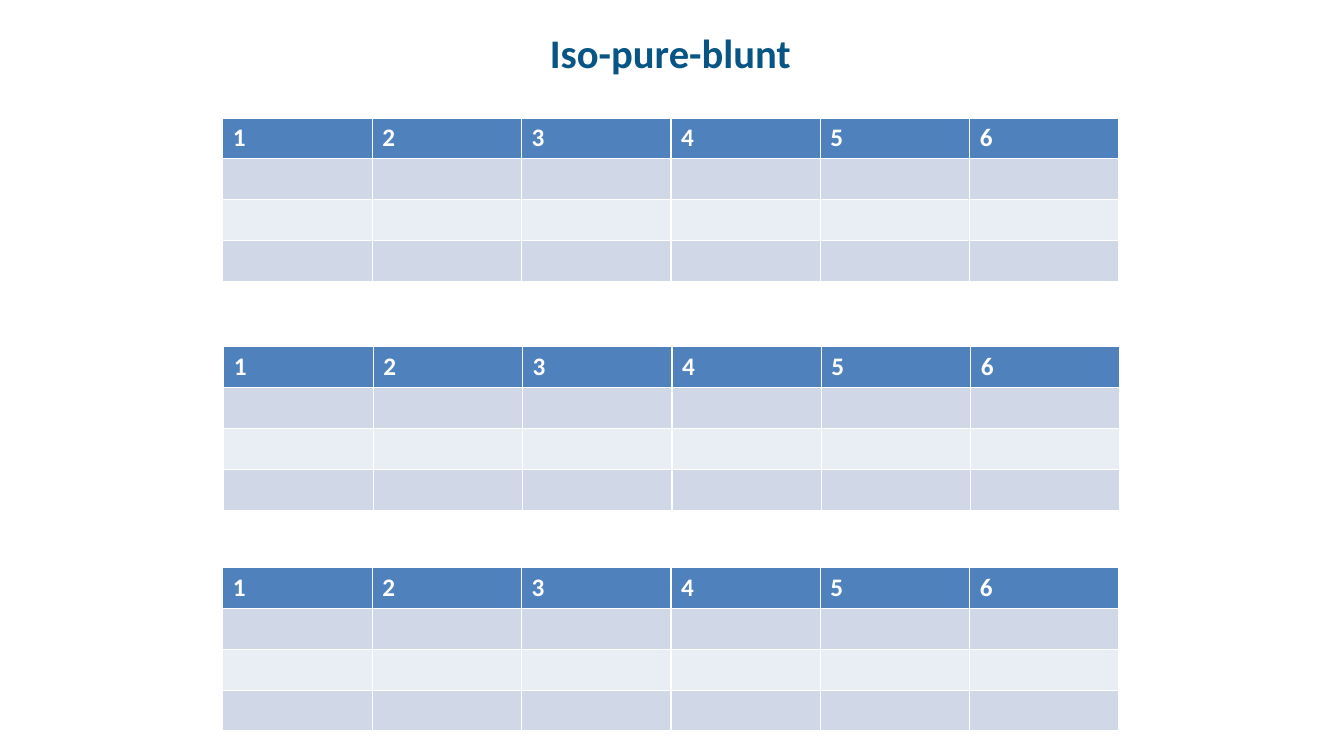
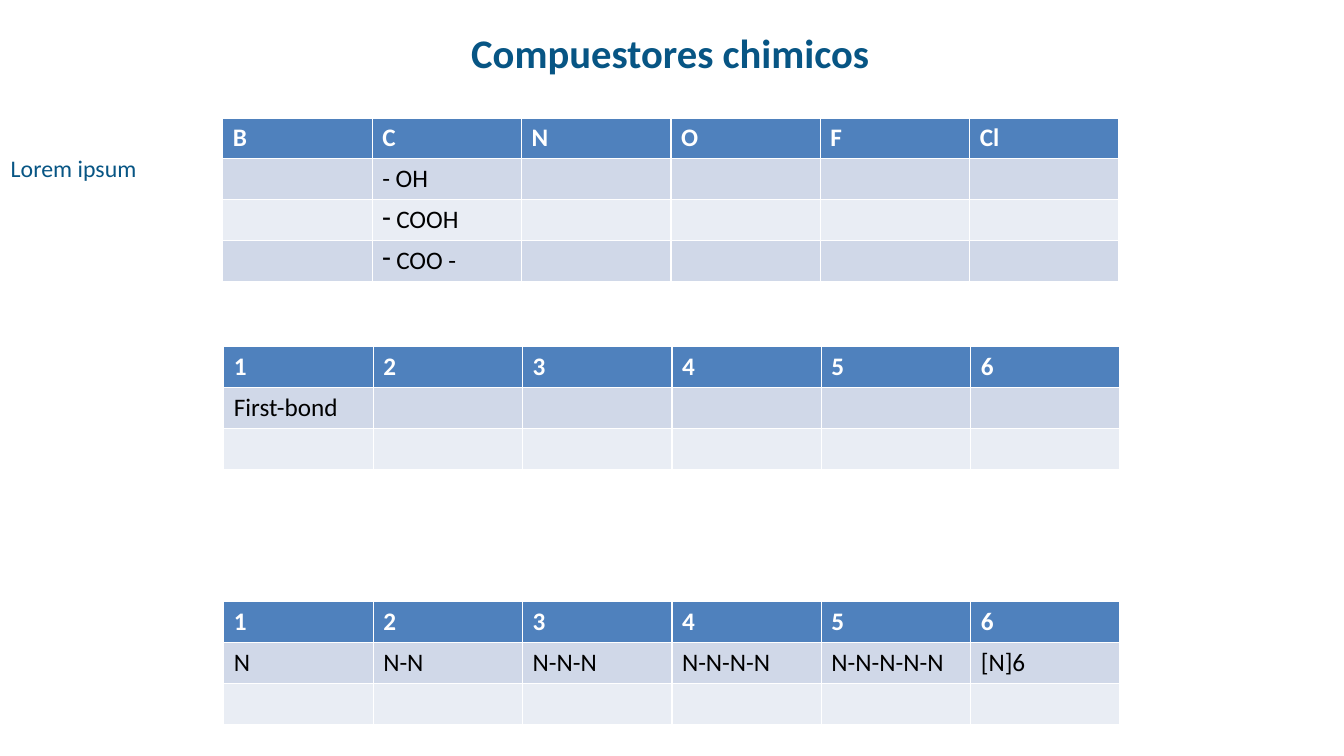
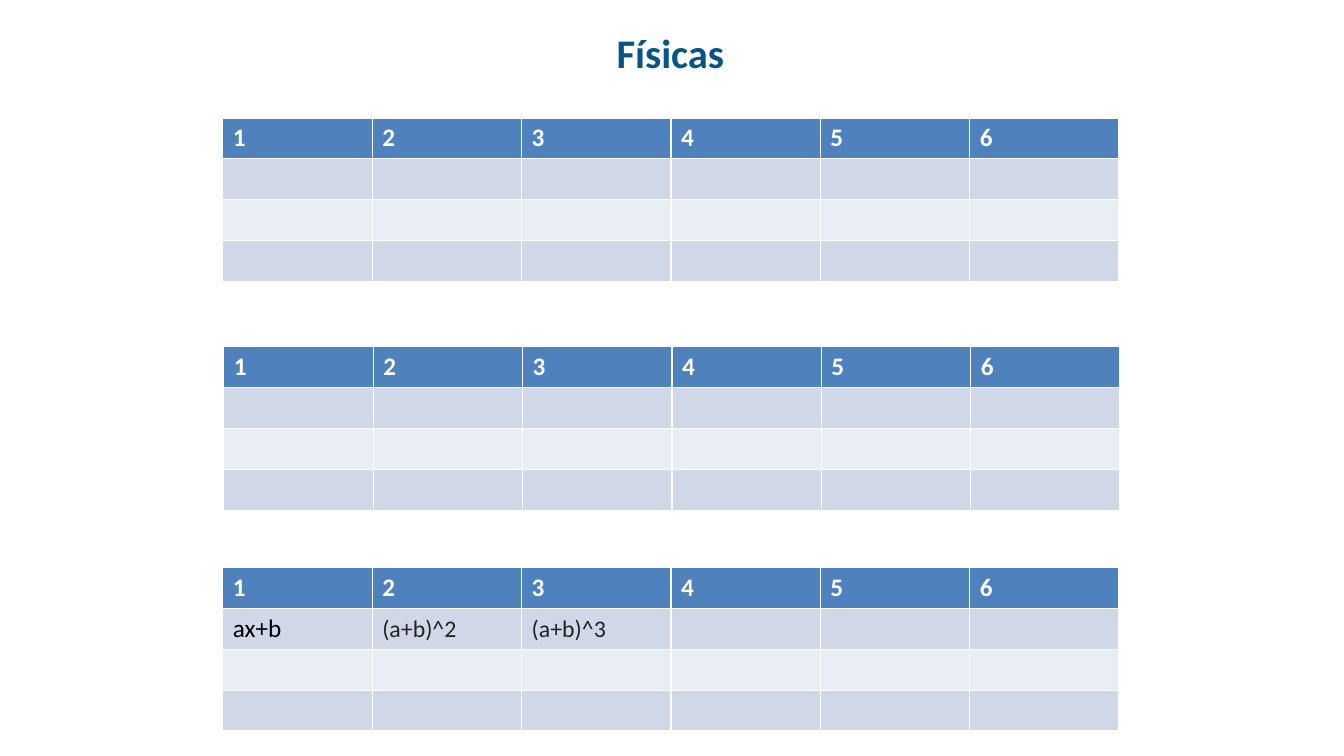
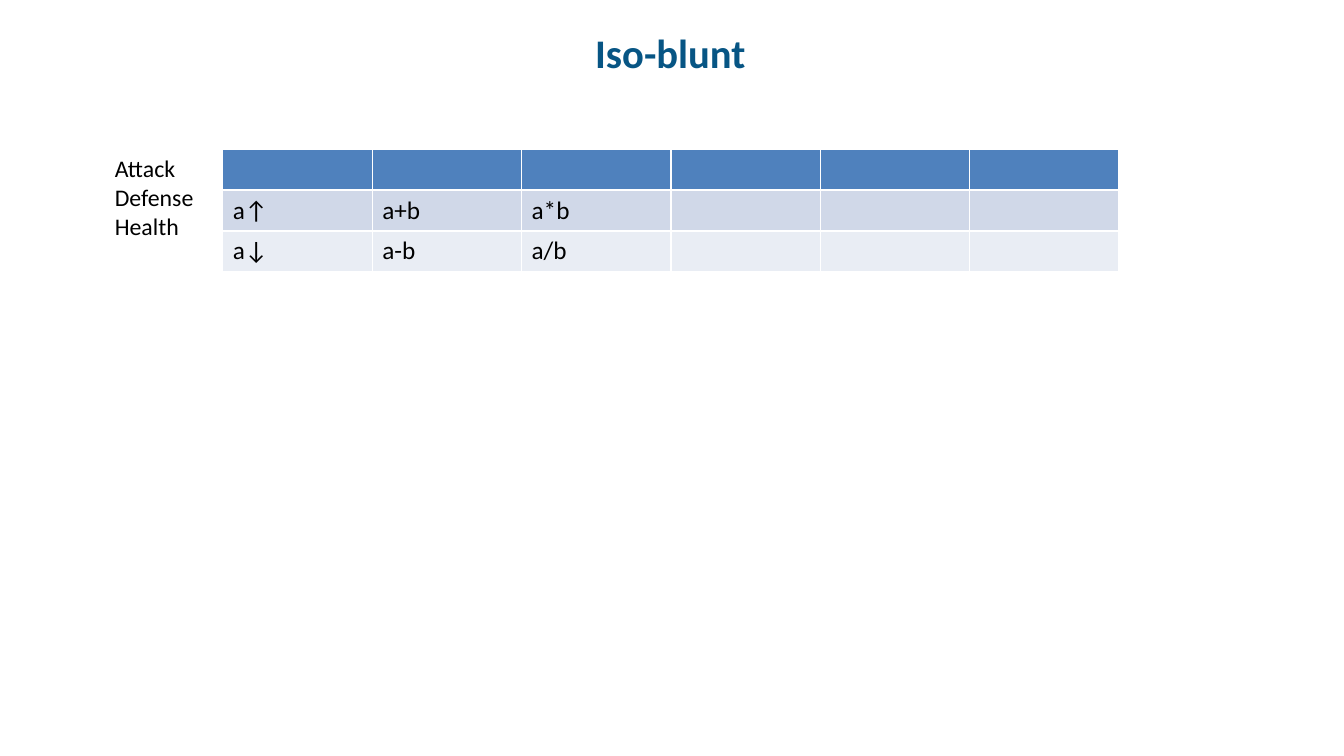
from lxml import etree
from pptx import Presentation
from pptx import util as u
from pptx.dml.color import RGBColor
from pptx.enum import text
from pptx.oxml.ns import qn

FONT = "Calibri"
COLOURS = {
    "title": "075584",
    "header": "4F81BD",
    "odd_band": "D0D8E8",
    "even_band": "E9EDF4",
    "white": "FFFFFF",
    "black": "000000",
    "formula": "222222",
}
COLUMNS = 6
TABLE_WIDTH = u.Inches(8.89)
ROW_HEIGHT = u.Pt(29.2)
TITLE_CENTRE = 6.65
FORMULAS = ("(a+b)^2", "(a+b)^3")
DASHED = (" COOH", " COO -")  # list items that carry a dash bullet

NUMBERS = list("123456")
NUMBERED = [NUMBERS, [], [], []]
TOP, MIDDLE, BOTTOM = (2.21, 1.17), (2.22, 3.44), (2.21, 5.63)

# Tables: (left, top), rows; short rows are filled up with empty cells.
# Labels: box in inches, alignment, colour, lines.
SLIDES = [
    {
        "title": ("Iso-pure-blunt", 2.61),
        "tables": [(BOTTOM, NUMBERED), (MIDDLE, NUMBERED), (TOP, NUMBERED)],
    },
    {
        "title": ("Compuestores chimicos", 4.19),
        "labels": [((0, 1.48, 1.46, 0.39), "CENTER", "title", ["Lorem ipsum"])],
        "tables": [
            ((2.22, 5.97), [
                NUMBERS,
                ["N", "N-N", "N-N-N", "N-N-N-N", "N-N-N-N-N", "[N]6"],
                [],
            ]),
            (MIDDLE, [NUMBERS, ["First-bond"], []]),
            (TOP, [
                ["B", "C", "N", "O", "F", "Cl"],
                ["", "- OH"],
                ["", " COOH"],
                ["", " COO -"],
            ]),
        ],
    },
    {
        "title": ("Físicas", 1.28),
        "tables": [
            (BOTTOM, [NUMBERS, ["ax+b", *FORMULAS], [], []]),
            (MIDDLE, NUMBERED),
            (TOP, NUMBERED),
        ],
    },
    {
        "title": ("Iso-blunt", 1.71),
        "tables": [
            ((2.21, 1.48), [[], ["a↑", "a+b", "a*b"], ["a↓", "a-b", "a/b"]]),
        ],
        "labels": [
            ((1.04, 1.48, 0.99, 0.96), "LEFT", "black",
             ["Attack", "Defense", "Health"]),
        ],
    },
]


def colour(name):
    return RGBColor.from_string(COLOURS[name])


def style_font(paragraph, size, colour_name, bold=False):
    font = paragraph.font
    font.name, font.size, font.bold = FONT, u.Pt(size), bold
    font.color.rgb = colour(colour_name)


def add_label(slide, box, alignment, colour_name, lines, size=17, bold=False):
    shape = slide.shapes.add_textbox(*map(u.Inches, box))
    frame = shape.text_frame
    frame.word_wrap = False
    frame.auto_size = text.MSO_AUTO_SIZE.SHAPE_TO_FIT_TEXT
    frame.text = "\n".join(lines)
    for paragraph in frame.paragraphs:
        paragraph.alignment = text.PP_ALIGN[alignment]
        style_font(paragraph, size, colour_name, bold)


def fill_cell(cell, value, row_index):
    is_header = row_index == 0
    band = "odd_band" if row_index % 2 else "even_band"
    cell.fill.solid()
    cell.fill.fore_color.rgb = colour("header" if is_header else band)
    if not value:
        return
    cell.text = value
    paragraph = cell.text_frame.paragraphs[0]
    if value in FORMULAS:
        cell.margin_top = cell.margin_bottom = u.Inches(0.06)
        cell.margin_right = u.Inches(0.08)
        style_font(paragraph, 17, "formula")
    else:
        style_font(paragraph, 18, "white" if is_header else "black", is_header)
    if value in DASHED:
        properties = paragraph._p.get_or_add_pPr()
        bullet = etree.Element(qn("a:buChar"), char="-")
        properties.insert(0, bullet)


def add_grid(slide, corner, rows):
    left, top = map(u.Inches, corner)
    table = slide.shapes.add_table(
        len(rows), COLUMNS, left, top, TABLE_WIDTH, ROW_HEIGHT * len(rows)
    ).table
    for row_index, values in enumerate(rows):
        for column in range(COLUMNS):
            value = values[column] if column < len(values) else ""
            fill_cell(table.cell(row_index, column), value, row_index)


def main():
    presentation = Presentation()
    presentation.slide_width = u.Inches(13.33)
    presentation.slide_height = u.Inches(7.5)
    for content in SLIDES:
        slide = presentation.slides.add_slide(presentation.slide_layouts[6])
        title, width = content["title"]
        box = (TITLE_CENTRE - width / 2, 0.23, width, 0.59)
        add_label(slide, box, "CENTER", "title", [title], size=29, bold=True)
        for corner, rows in content["tables"]:
            add_grid(slide, corner, rows)
        for label in content.get("labels", []):
            add_label(slide, *label)
    presentation.save("out.pptx")


if __name__ == "__main__":
    main()
